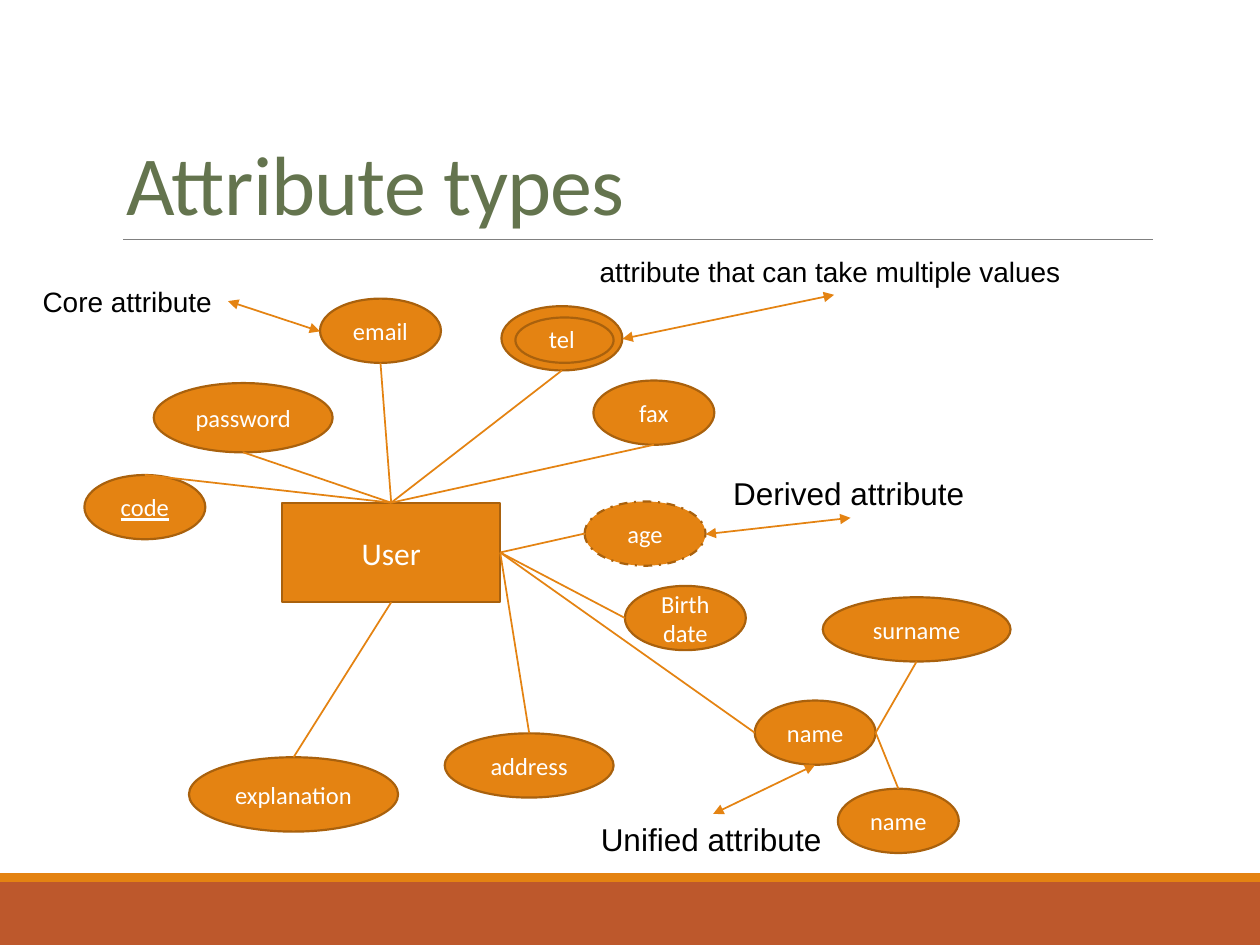
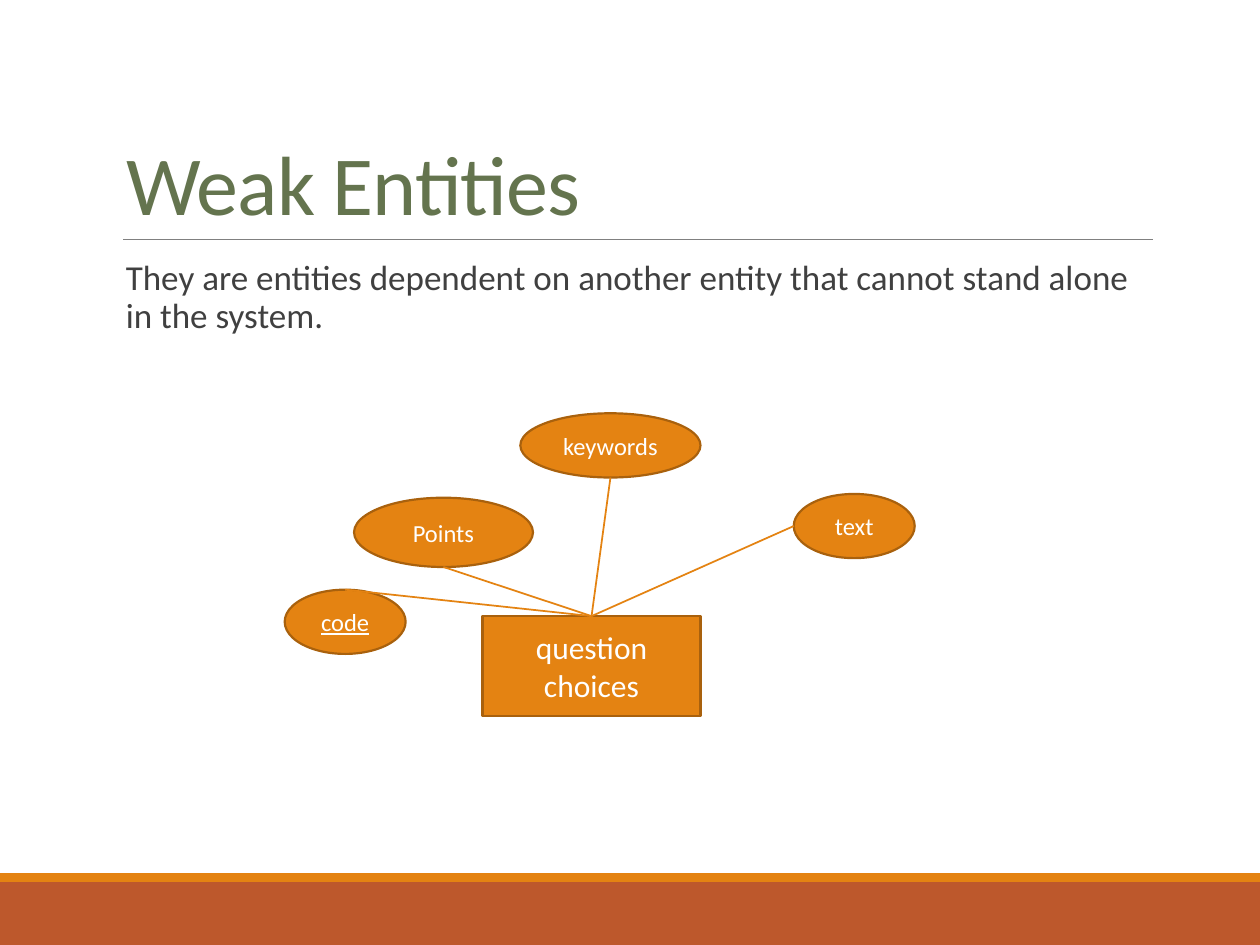
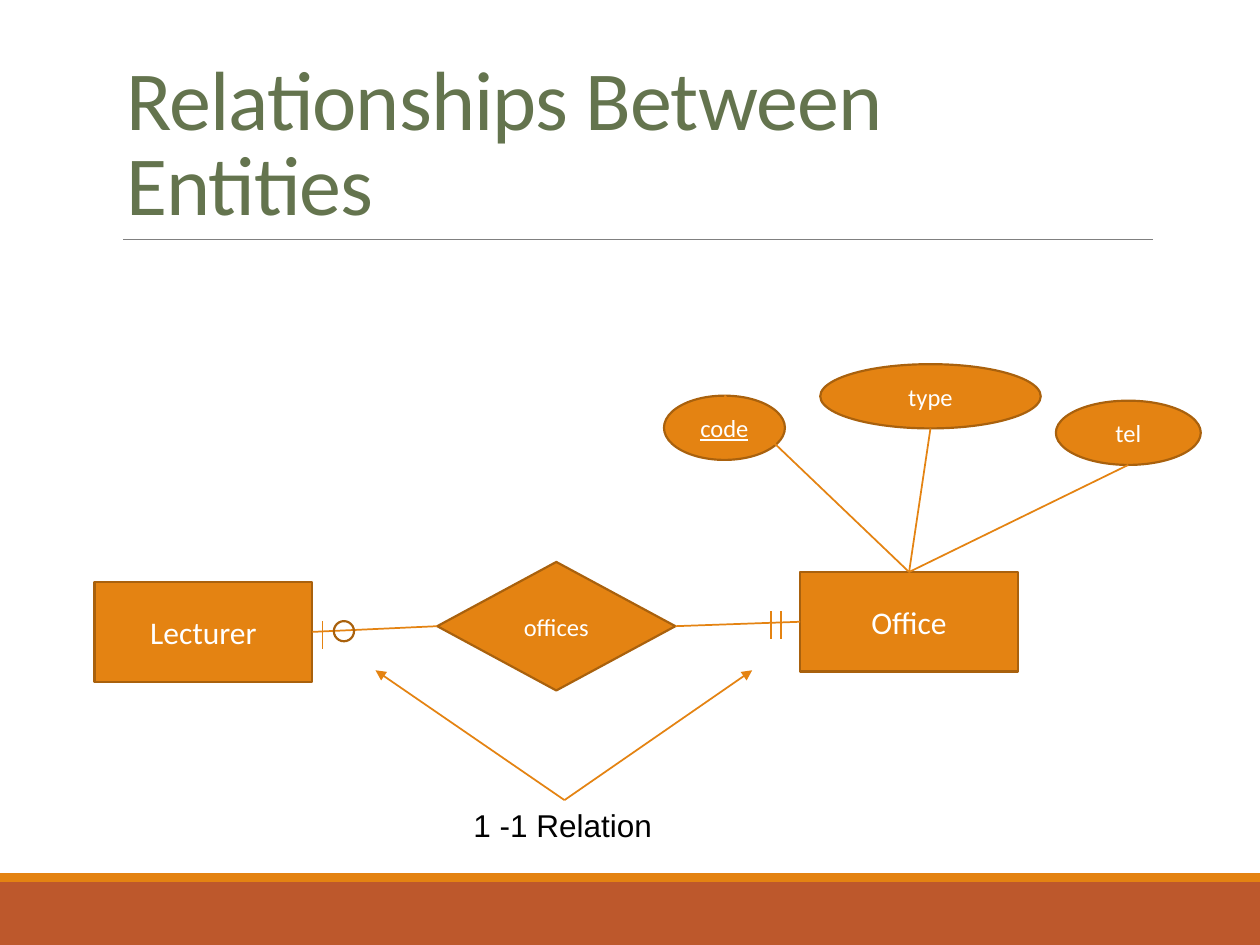
from lxml.etree import SubElement
from pptx import Presentation
from pptx.dml.color import RGBColor
from pptx.enum.dml import MSO_LINE
from pptx.enum.shapes import MSO_CONNECTOR, MSO_SHAPE
from pptx.enum.text import MSO_ANCHOR, MSO_AUTO_SIZE, PP_ALIGN
from pptx.oxml.ns import qn
from pptx.util import Inches, Pt

COLORS = {
    "orange": "E48312",
    "outline": "A9610D",
    "rust": "BD582C",
    "rule": "808080",
    "title": "64744E",
    "body": "404040",
    "white": "FFFFFF",
    "black": "000000",
}
COLUMNS, ROWS = 100, 75
ENTITY = (17.3, 7.9)
ATTRIBUTE = (9.6, 5.1)
WIDE = (14.2, 5.5)
TITLE_BOX = (9, 3.1, 82.5, 15.9)
BODY_BOX = (9, 20.2, 82.5, 44)
BANDS = [((0, 70, COLUMNS, 5), "rust"), ((0, 69.3, COLUMNS, 0.7), "orange")]
TITLE_RULE = ((9.8, 19), (91.5, 19))

SLIDES = [
    {
        "title": "Attribute types",
        "entities": {"user": ("User", 22.4, 39.9)},
        "attributes": {
            "password": ("password", 12.2, 30.4, WIDE),
            "email": ("email", 25.4, 23.7, ATTRIBUTE),
            "tel": ("tel", 39.8, 24.3, ATTRIBUTE),
            "fax": ("fax", 47.1, 30.2, ATTRIBUTE),
            "code": ("code", 6.7, 37.7, ATTRIBUTE),
            "age": ("age", 46.4, 39.8, ATTRIBUTE),
            "birth": ("Birth date", 49.6, 46.5, ATTRIBUTE),
            "address": ("address", 35.3, 58.2, (13.4, 5.1)),
            "explanation": ("explanation", 15, 60.1, (16.6, 5.9)),
            "full name": ("name", 59.9, 55.6, ATTRIBUTE),
            "first name": ("name", 66.5, 62.6, ATTRIBUTE),
            "surname": ("surname", 65.3, 47.4, (14.9, 5.1)),
        },
        "dashed": ["age"],
        "rings": [(40.9, 25.2, 7.8, 3.6)],
        "links": [
            ("user", "top", "password", "bottom"),
            ("user", "top", "email", "bottom"),
            ("user", "top", "tel", "bottom"),
            ("user", "top", "code", "top"),
            ("user", "top", "fax", "bottom"),
            ("user", "right", "age", "left"),
            ("user", "right", "birth", "left"),
            ("user", "right", "address", "top"),
            ("user", "bottom", "explanation", "top"),
            ("user", "right", "full name", "left"),
            ("full name", "right", "surname", "bottom"),
            ("full name", "right", "first name", "top"),
        ],
        "labels": [
            ("attribute that can take multiple values", (46.6, 19.7, 39.1, 3.7), 16),
            ("Core attribute", (2.4, 22.1, 15.6, 3.7), 16),
            ("Unified attribute", (46.7, 64.6, 19.7, 4), 18),
            ("Derived attribute", (57.2, 37.1, 20.5, 4), 18),
        ],
        "double_arrows": [
            ((25.4, 26.3), (18.1, 23.9)),
            ((66.2, 23.4), (49.4, 26.9)),
            ((67.5, 41.1), (56, 42.4)),
            ((64.7, 60.7), (56.6, 64.6)),
        ],
    },
    {
        "title": "Weak Entities",
        "body": "They are entities dependent on another entity that cannot stand alone in the system.",
        "entities": {"choices": ("question choices", 38.3, 48.9)},
        "attributes": {
            "points": ("Points", 28.1, 39.5, WIDE),
            "keywords": ("keywords", 41.3, 32.8, (14.3, 5.1)),
            "text": ("text", 63, 39.2, ATTRIBUTE),
            "code": ("code", 22.6, 46.8, ATTRIBUTE),
        },
        "links": [
            ("choices", "top", "points", "bottom"),
            ("choices", "top", "keywords", "bottom"),
            ("choices", "top", "text", "left"),
            ("choices", "top", "code", "top"),
        ],
    },
    {
        "title": "Relationships Between Entities",
        "entities": {
            "office": ("Office", 63.5, 45.4),
            "lecturer": ("Lecturer", 7.5, 46.2),
        },
        "attributes": {
            "type": ("type", 65.1, 28.9, (17.5, 5.1)),
            "code": ("code", 52.7, 31.4, ATTRIBUTE),
            "tel": ("tel", 83.8, 31.8, (11.5, 5.1)),
        },
        "relations": {"offices": ("offices", 34.7, 44.6, (18.9, 10.2))},
        "rings": [(26.5, 49.3, 1.6, 1.6)],
        "links": [
            ("office", "top", "type", "bottom"),
            ("office", "top", "code", "top"),
            ("office", "top", "tel", "bottom"),
            ("lecturer", "right", "offices", "left"),
            ("offices", "right", "office", "left"),
        ],
        "ticks": [(61.2, 48.5), (62, 48.5), (25.6, 49.3)],
        "labels": [("1 -1 Relation", (36.6, 63.5, 16.3, 4), 18)],
        "arrows": [((44.8, 63.5), (29.8, 53.2)), ((44.8, 63.5), (59.7, 53.2))],
    },
]
TICK_HEIGHT = 2.2
SIDES = {"top": (0.5, 0), "left": (0, 0.5), "bottom": (0.5, 1), "right": (1, 0.5)}

presentation = Presentation()
presentation.slide_width = Inches(10)
presentation.slide_height = Inches(7.5)


def grid(*cells):
    units = (presentation.slide_width / COLUMNS, presentation.slide_height / ROWS)
    return [round(cell * units[index % 2]) for index, cell in enumerate(cells)]


def color(name):
    return RGBColor.from_string(COLORS[name])


def write(shape, text, size, font="Calibri", ink="white", align=PP_ALIGN.LEFT,
          anchor=MSO_ANCHOR.TOP, underline=None, wrap=True, spacing=None,
          auto_size=MSO_AUTO_SIZE.NONE):
    frame = shape.text_frame
    frame.word_wrap = wrap
    frame.auto_size = auto_size
    frame.vertical_anchor = anchor
    paragraph = frame.paragraphs[0]
    paragraph.alignment = align
    paragraph.line_spacing = spacing
    run = paragraph.add_run()
    run.text = text
    run.font.size = Pt(size)
    run.font.name = font
    run.font.underline = underline
    run.font.color.rgb = color(ink)
    return paragraph


def add_box(slide, kind, box, fill="orange", outline="outline"):
    shape = slide.shapes.add_shape(kind, *grid(*box))
    shape.shadow.inherit = False
    if fill:
        shape.fill.solid()
        shape.fill.fore_color.rgb = color(fill)
    else:
        shape.fill.background()
    if outline:
        shape.line.color.rgb = color(outline)
        shape.line.width = Pt(1.25)
    else:
        shape.line.fill.background()
    return shape


def add_line(slide, start, end, ink="orange", width=1, arrows=()):
    connector = slide.shapes.add_connector(MSO_CONNECTOR.STRAIGHT, *grid(*start, *end))
    connector.line.color.rgb = color(ink)
    connector.line.width = Pt(width)
    properties = connector.element.spPr
    for arrow in arrows:
        SubElement(properties.find(qn("a:ln")), qn("a:" + arrow)).set("type", "triangle")
    SubElement(properties, qn("a:effectLst"))
    return connector


def add_title(slide, text):
    title = slide.shapes.title
    title.left, title.top, title.width, title.height = grid(*TITLE_BOX)
    write(title, text, 48, ink="title", anchor=MSO_ANCHOR.BOTTOM, spacing=0.85)
    for properties in title.element.iter(qn("a:rPr")):
        properties.set("spc", "-50")


def add_body(slide, text):
    body = slide.shapes.add_textbox(*grid(*BODY_BOX))
    paragraph = write(body, text, 20, ink="body", spacing=0.9)
    paragraph.space_before = Pt(12)
    paragraph.space_after = Pt(2)


def decorate_layout(layout, slide):
    parts = [add_box(slide, MSO_SHAPE.RECTANGLE, box, fill, None) for box, fill in BANDS]
    parts.append(add_line(slide, *TITLE_RULE, ink="rule", width=0.5))
    for part in parts:
        layout.shapes.element.append(part.element)


def add_nodes(slide, content):
    entities = {key: (*entity, ENTITY) for key, entity in content["entities"].items()}
    groups = [
        (MSO_SHAPE.RECTANGLE, 18, entities),
        (MSO_SHAPE.OVAL, 14, content["attributes"]),
        (MSO_SHAPE.DIAMOND, 14, content.get("relations", {})),
    ]
    boxes = {}
    for kind, size, nodes in groups:
        for key, (text, left, top, extent) in nodes.items():
            boxes[key] = (left, top, *extent)
            node = add_box(slide, kind, boxes[key])
            write(node, text, size, align=PP_ALIGN.CENTER, anchor=MSO_ANCHOR.MIDDLE,
                  underline=True if key == "code" else None)
            if key in content.get("dashed", []):
                node.line.dash_style = MSO_LINE.DASH_DOT
    return boxes


def site(box, side):
    left, top, width, height = box
    across, down = SIDES[side]
    return left + across * width, top + down * height


def build_slide(slide, content):
    add_title(slide, content["title"])
    if "body" in content:
        add_body(slide, content["body"])
    boxes = add_nodes(slide, content)
    for source, source_side, target, target_side in content["links"]:
        add_line(slide, site(boxes[source], source_side), site(boxes[target], target_side))
    for ring in content.get("rings", []):
        add_box(slide, MSO_SHAPE.OVAL, ring, fill=None)
    for left, top in content.get("ticks", []):
        add_line(slide, (left, top), (left, top + TICK_HEIGHT))
    for text, box, size in content.get("labels", []):
        label = slide.shapes.add_textbox(*grid(*box))
        write(label, text, size, font="Arial", ink="black", wrap=False,
              auto_size=MSO_AUTO_SIZE.SHAPE_TO_FIT_TEXT)
    for start, end in content.get("double_arrows", []):
        add_line(slide, start, end, arrows=("headEnd", "tailEnd"))
    for start, end in content.get("arrows", []):
        add_line(slide, start, end, arrows=("tailEnd",))


title_only = presentation.slide_layouts[5]
for number, content in enumerate(SLIDES):
    slide = presentation.slides.add_slide(title_only)
    if number == 0:
        decorate_layout(title_only, slide)
    build_slide(slide, content)

presentation.save("out.pptx")
